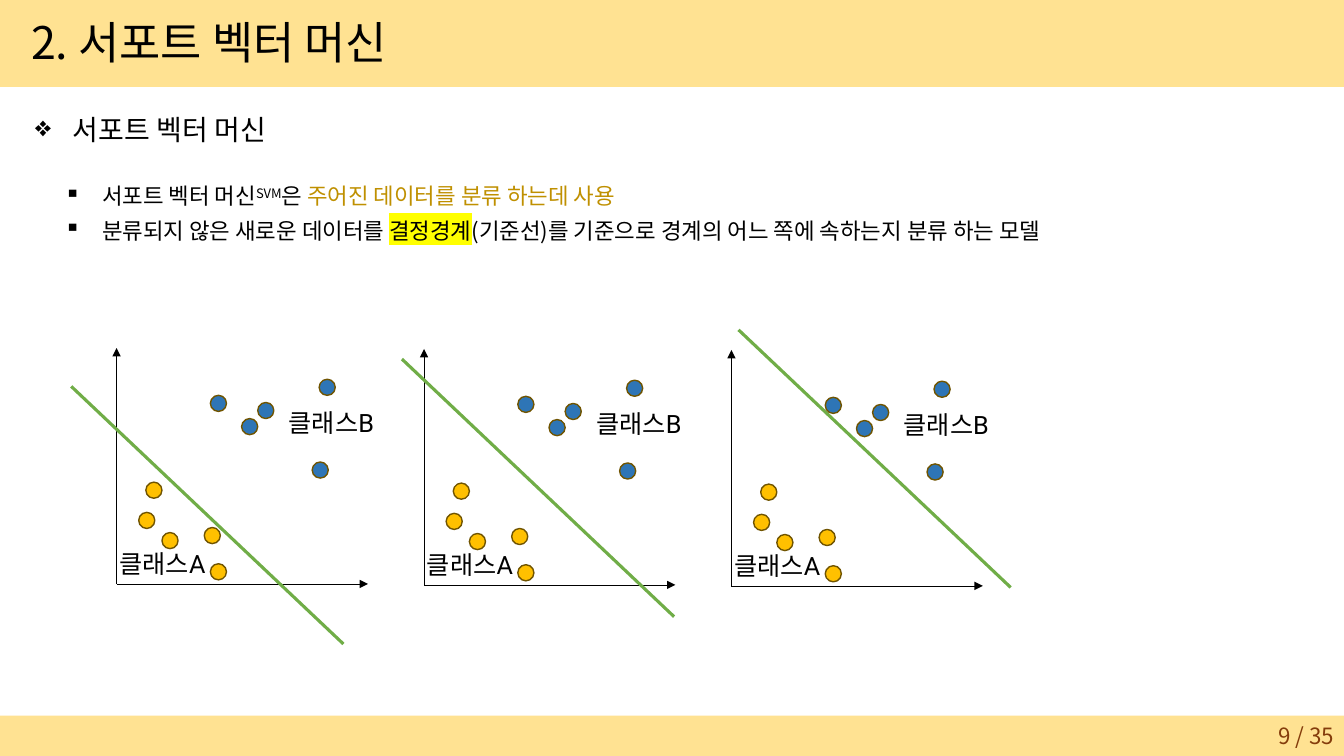
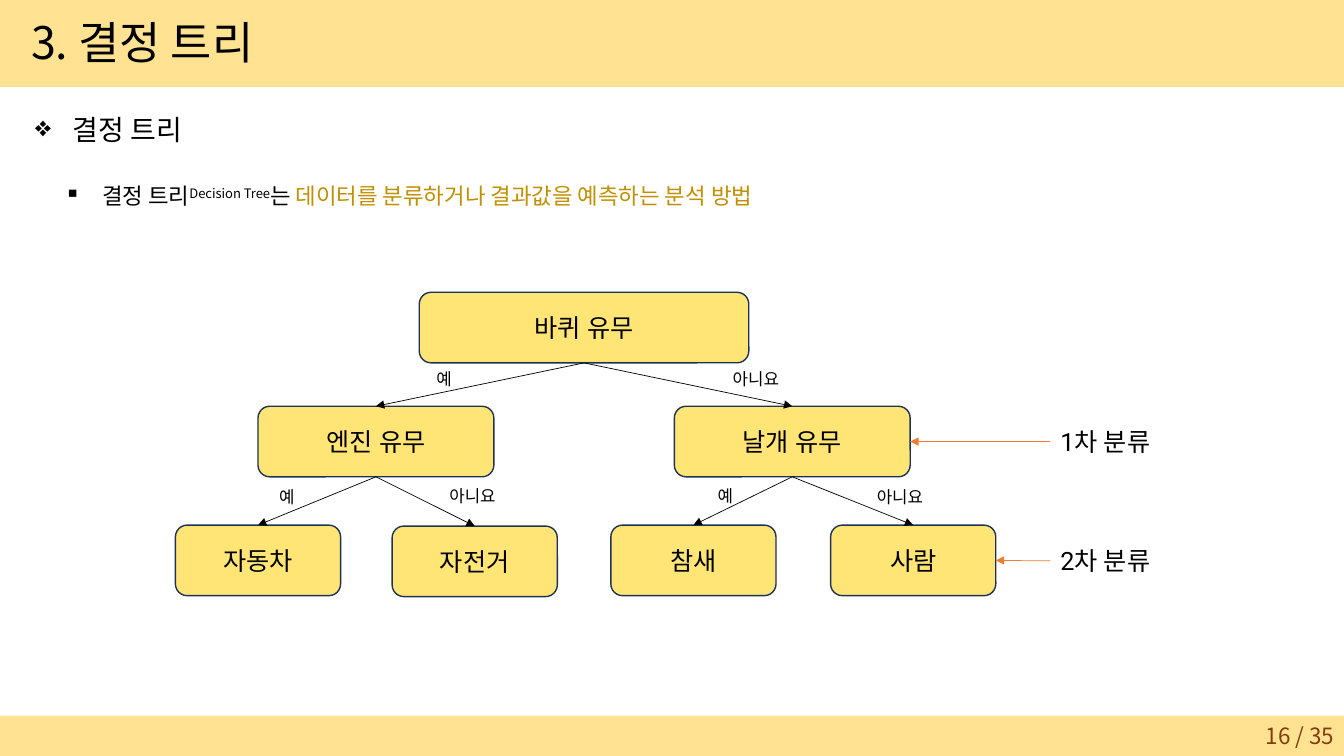
from lxml.etree import SubElement
from pptx import Presentation
from pptx.dml.color import RGBColor
from pptx.enum.shapes import MSO_CONNECTOR, MSO_SHAPE
from pptx.enum.text import MSO_ANCHOR, MSO_AUTO_SIZE, PP_ALIGN
from pptx.oxml.ns import qn
from pptx.util import Pt

COLORS = {
    "text": "000000", "accent": "BF9000", "highlight": "FFFF00",
    "band": "FFE292", "page": "843C0B", "boundary": "70AD47",
    "class_a": "FFC000", "class_b": "2E75B6", "dot_line": "705400",
    "node": "FFE575", "node_line": "1E3256", "level_arrow": "ED7D31",
}
TEXT_FONT, FIGURE_FONT = "Noto Sans CJK KR", "Roboto"
SLIDE_WIDTH, SLIDE_HEIGHT = 960, 540
TITLE_BAND_HEIGHT, FOOTER_HEIGHT = 62, 28.8
PAGE_COUNT = 35

DOT_SIZE = 11.5
DOTS = {
    "class_a": [(20.9, 95.8), (62.6, 128.2), (15.8, 117.4), (32.4, 131.8), (67, 154.1)],
    "class_b": [(67, 33.8), (89.3, 50.4), (100.8, 38.9), (144.7, 22.3), (139.7, 81.4)],
}
CLASS_LABELS = [("클래스B", 115.9, 38.9), ("클래스A", -5, 139.7)]
BOUNDARY_STARTS = [(-32.4, 27.4), (-15.8, 7.2), (5, -14.4)]

NODE_HEIGHT = 50.4
NODES = {  # text: left, top, width
    "바퀴 유무": (174.2, 0, 235.4),
    "엔진 유무": (59, 81.4, 168.5),
    "날개 유무": (356.4, 81.4, 168.5),
    "자동차": (0, 166.3, 118),
    "자전거": (154.8, 167, 118),
    "참새": (311, 166.3, 118),
    "사람": (468, 166.3, 118),
}
BRANCHES = [  # parent, child, answer, answer left, answer top
    ("바퀴 유무", "엔진 유무", "예", 179.3, 51.1),
    ("바퀴 유무", "날개 유무", "아니요", 391, 51.1),
    ("엔진 유무", "자동차", "예", 67, 135.4),
    ("엔진 유무", "자전거", "아니요", 188.6, 134.6),
    ("날개 유무", "참새", "예", 380.2, 134.6),
    ("날개 유무", "사람", "아니요", 493.9, 135.4),
]
ANSWER_WIDTHS = {"예": 22.3, "아니요": 51.8}
LEVELS = [("1차 분류", "날개 유무", 92.2), ("2차 분류", "사람", 177.4)]
TOP, LEFT, BOTTOM, RIGHT = range(4)  # connection sites of a rectangle


def color(name):
    return RGBColor.from_string(COLORS[name])


def set_font(paragraph, size, name=TEXT_FONT, color_name="text"):
    font = paragraph.font
    font.size, font.name = Pt(size), name
    font.color.rgb = color(color_name)
    properties = paragraph._p.pPr.find(qn("a:defRPr"))
    SubElement(properties, qn("a:ea"), typeface=name)


def add_bullet(paragraph, symbol):
    properties = paragraph._p.get_or_add_pPr()
    properties.set("marL", str(Pt(27)))
    properties.set("indent", str(-Pt(27)))
    SubElement(properties, qn("a:buChar"), char=symbol)
    paragraph.line_spacing = 1.27


def add_run(paragraph, text, style=None):
    run = paragraph.add_run()
    run.text = text
    properties = run._r.get_or_add_rPr()
    if style == "accent":
        run.font.color.rgb = color("accent")
    elif style == "superscript":
        properties.set("baseline", "30000")
    elif style == "highlight":
        highlight = SubElement(properties, qn("a:highlight"))
        SubElement(highlight, qn("a:srgbClr"), val=COLORS["highlight"])


def add_box(shapes, kind, box, fill, line=None):
    shape = shapes.add_shape(kind, *map(Pt, box))
    shape.shadow.inherit = False
    shape.fill.solid()
    shape.fill.fore_color.rgb = color(fill)
    if line:
        shape.line.color.rgb = color(line)
        shape.line.width = Pt(1)
    else:
        shape.line.fill.background()
    return shape


def add_text_box(shapes, box):
    text_box = shapes.add_textbox(*map(Pt, box))
    text_box.text_frame.word_wrap = True
    return text_box


def add_label(shapes, text, box, size=18):
    label = add_text_box(shapes, box)
    paragraph = label.text_frame.paragraphs[0]
    paragraph.text = text
    set_font(paragraph, size, FIGURE_FONT)
    return label


def add_line(shapes, start=(0, 0), end=(0, 0), color_name="text", width=0.5, arrow=True):
    line = shapes.add_connector(MSO_CONNECTOR.STRAIGHT, *map(Pt, (*start, *end)))
    line.line.color.rgb = color(color_name)
    line.line.width = Pt(width)
    if arrow:
        SubElement(line.line._get_or_add_ln(), qn("a:tailEnd"), type="triangle")
    SubElement(line._element.spPr, qn("a:effectLst"))
    return line


def join(shapes, source, source_site, target, target_site, color_name="text"):
    arrow = add_line(shapes, color_name=color_name)
    arrow.begin_connect(source, source_site)
    arrow.end_connect(target, target_site)


def move_bands_to_layout(slide):
    """Draw the two bands and hand them to the layout all slides share."""
    for top, height in ((0, TITLE_BAND_HEIGHT), (SLIDE_HEIGHT - FOOTER_HEIGHT, FOOTER_HEIGHT)):
        band = add_box(slide.shapes, MSO_SHAPE.RECTANGLE, (0, top, SLIDE_WIDTH, height), "band")
        slide.slide_layout.element.cSld.spTree.insert(2, band.element)


def set_title(slide, text):
    title = slide.shapes.title
    title.left, title.top, title.width, title.height = map(Pt, (15, 0, 930, 60))
    frame = title.text_frame
    frame.auto_size = MSO_AUTO_SIZE.NONE
    frame.vertical_anchor = MSO_ANCHOR.MIDDLE
    paragraph = frame.paragraphs[0]
    paragraph.text = text
    paragraph.alignment = PP_ALIGN.LEFT
    set_font(paragraph, 32)


def add_page_number(slide, page):
    box = (744, SLIDE_HEIGHT - FOOTER_HEIGHT, 216, FOOTER_HEIGHT)
    frame = add_text_box(slide.shapes, box).text_frame
    frame.vertical_anchor = MSO_ANCHOR.MIDDLE
    paragraph = frame.paragraphs[0]
    paragraph.text = f"{page} / {PAGE_COUNT}"
    paragraph.alignment = PP_ALIGN.RIGHT
    set_font(paragraph, 16, color_name="page")


def add_bullets(slide, box, symbol, size, items):
    """Each item is a list of runs: (text,) or (text, style)."""
    frame = add_text_box(slide.shapes, box).text_frame
    for index, runs in enumerate(items):
        paragraph = frame.add_paragraph() if index else frame.paragraphs[0]
        add_bullet(paragraph, symbol)
        set_font(paragraph, size)
        for run in runs:
            add_run(paragraph, *run)


def add_content_slide(presentation, title, heading, items, page):
    slide = presentation.slides.add_slide(presentation.slide_layouts[5])
    set_title(slide, title)
    add_bullets(slide, (18, 70.6, 900, 40), "❖", 20, [[(heading,)]])
    add_bullets(slide, (38.9, 121.7, 900, 63), "▪", 16, items)
    add_page_number(slide, page)
    return slide


def draw_scatter(slide, left, top, boundary_start):
    """Place one plot with its axes meeting below (left, top)."""
    shapes = slide.shapes.add_group_shape().shapes
    width, height = 179.5, 168.5
    origin = (left, top + height)
    add_line(shapes, origin, (left, top))
    add_line(shapes, origin, (left + width, top + height))
    x, y = left + boundary_start[0], top + boundary_start[1]
    add_line(shapes, (x, y), (x + 194.4, y + 184), "boundary", 2.25, arrow=False)
    for class_name, dots in DOTS.items():
        for x, y in dots:
            box = (left + x, top + y, DOT_SIZE, DOT_SIZE)
            add_box(shapes, MSO_SHAPE.OVAL, box, class_name, "dot_line")
    for text, x, y in CLASS_LABELS:
        add_label(shapes, text, (left + x, top + y, 85.7, 28.8))


def draw_node(shapes, text, box):
    node = add_box(shapes, MSO_SHAPE.ROUNDED_RECTANGLE, box, "node", "node_line")
    node.text_frame.vertical_anchor = MSO_ANCHOR.MIDDLE
    paragraph = node.text_frame.paragraphs[0]
    paragraph.text = text
    paragraph.alignment = PP_ALIGN.CENTER
    set_font(paragraph, 18, FIGURE_FONT)
    return node


def draw_tree(slide, left, top):
    shapes = slide.shapes.add_group_shape().shapes
    nodes = {
        text: draw_node(shapes, text, (left + x, top + y, width, NODE_HEIGHT))
        for text, (x, y, width) in NODES.items()
    }
    for parent, child, answer, x, y in BRANCHES:
        join(shapes, nodes[parent], BOTTOM, nodes[child], TOP)
        add_label(shapes, answer, (left + x, top + y, ANSWER_WIDTHS[answer], 21.6), 12)
    for text, node, y in LEVELS:
        label = add_label(shapes, text, (left + 625, top + y, 100, 28.8))
        join(shapes, label, LEFT, nodes[node], RIGHT, "level_arrow")


def main():
    presentation = Presentation()
    presentation.slide_width, presentation.slide_height = Pt(SLIDE_WIDTH), Pt(SLIDE_HEIGHT)

    svm_items = [
        [("서포트 벡터 머신",), ("SVM", "superscript"), ("은 ",),
         ("주어진 데이터를 분류 하는데 사용", "accent")],
        [("분류되지 않은 새로운 데이터를 ",), ("결정경계", "highlight"),
         ("(기준선)를 기준으로 경계의 어느 쪽에 속하는지 분류 하는 모델",)],
    ]
    svm_slide = add_content_slide(
        presentation, "2. 서포트 벡터 머신", "서포트 벡터 머신", svm_items, 9)
    move_bands_to_layout(svm_slide)
    for index, start in enumerate(BOUNDARY_STARTS):
        draw_scatter(svm_slide, 83.3 + 219.6 * index, 248.6 + 0.7 * index, start)

    tree_items = [
        [("결정 트리",), ("Decision Tree", "superscript"), ("는 ",),
         ("데이터를 분류하거나 결과값을 예측하는 분석 방법", "accent")],
    ]
    tree_slide = add_content_slide(presentation, "3. 결정 트리", "결정 트리", tree_items, 16)
    draw_tree(tree_slide, 125.3, 208.8)

    presentation.save("out.pptx")


if __name__ == "__main__":
    main()
